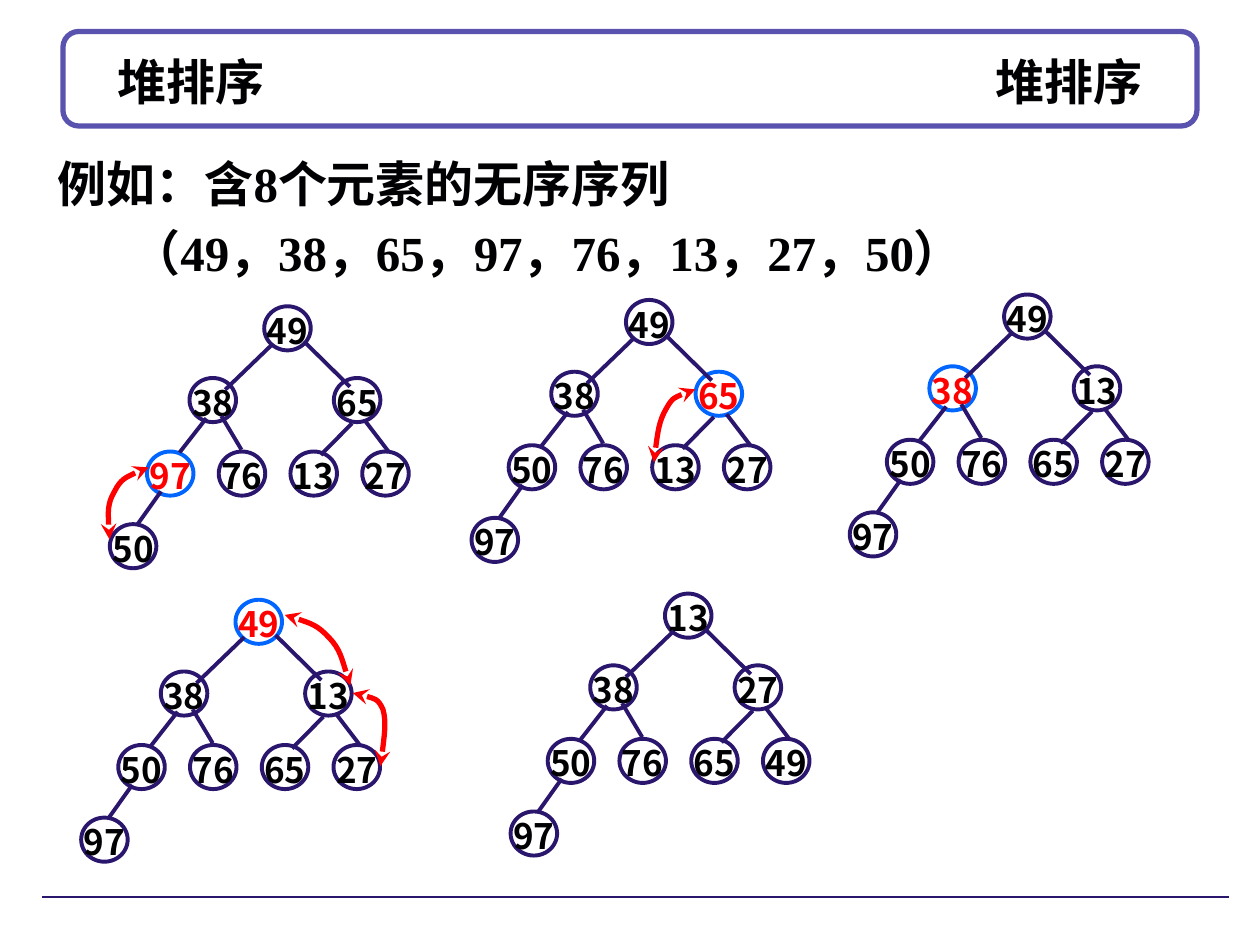
from pptx import Presentation
from pptx.dml.color import RGBColor
from pptx.enum.shapes import MSO_CONNECTOR, MSO_SHAPE
from pptx.enum.text import MSO_ANCHOR, MSO_AUTO_SIZE, PP_ALIGN
from pptx.oxml.ns import qn
from pptx.util import Pt
from lxml import etree

LINE = MSO_CONNECTOR.STRAIGHT
OVAL, ROUND = MSO_SHAPE.OVAL, MSO_SHAPE.ROUNDED_RECTANGLE
MIDDLE, NO_FIT = MSO_ANCHOR.MIDDLE, MSO_AUTO_SIZE.NONE
LEFT, CENTER = PP_ALIGN.LEFT, PP_ALIGN.CENTER

SANS, SERIF = "Noto Sans CJK SC", "Times New Roman"
INK, NAVY, RED, BLUE = "010103", "2B166E", "FF0000", "0066FF"

NODE_W, NODE_H = 26.6, 25.2
# Node corners in heap order, measured from the corner of the root
NODES = [(0, 0), (-42.7, 41), (39.8, 41)]
NODES += [(-67 + 41 * i, 83) for i in range(4)] + [(-88.2, 124.5)]
EDGES = [
    (5, 21.4, -22.3, 47.7), (-33.1, 64, -48.4, 83.6),
    (-59, 105.8, -72.9, 125.3), (22.9, 20.3, 49, 46),
    (57.5, 65.3, 71.3, 83.4), (-24.5, 62.7, -13, 82),
    (50.2, 66.9, 32.3, 85),
]
# Root corner, values in heap order, index of the marked node
TREES = [
    (134.6, 342.7, (49, 38, 13, 50, 76, 65, 27, 97), 0),
    (380, 339.2, (13, 38, 27, 50, 76, 65, 49, 97), None),
    (151, 175, (49, 38, 65, 97, 76, 13, 27, 50), 3),
    (357.7, 171.4, (49, 38, 65, 50, 76, 13, 27, 97), 2),
    (573.8, 168.3, (49, 38, 13, 50, 76, 65, 27, 97), 1),
]
# Each swap: start point, then two cubic curves of three points each
SWAPS = [
    [(162.7, 351.4), (172.1, 354.2), (181.4, 357.1), (187.9, 364.3),
     (194.4, 370.8), (198.7, 387.4), (200.2, 391.7)],
    [(201.6, 396), (208.8, 397.4), (216, 398.9), (218.9, 405.4),
     (221, 412.6), (218.2, 432.7), (217.4, 437.8)],
    [(85, 267.1), (77, 270), (69.1, 273.6), (65.5, 280.8),
     (61.2, 288), (61.9, 298.1), (62.6, 308.2)],
    [(397.4, 222.5), (391, 224.6), (384.5, 226.8), (380.9, 233.3),
     (376.6, 240.5), (375.1, 252), (373.7, 264.2)],
]


def paint(form, color):
    form.rgb = RGBColor.from_string(color)


def stroke(shape, color, width):
    paint(shape.line.color, color)
    shape.line.width = Pt(width)


def write(para, text, size=28, font=SERIF, color=INK, align=LEFT,
          lead=1.1, before=0):
    para.alignment = align
    para.line_spacing = lead
    para.space_before = Pt(before)
    run = para.add_run()
    run.text = text
    run.font.size = Pt(size)
    run.font.name = font
    run.font.bold = True
    paint(run.font.color, color)
    east = etree.SubElement(run.font._element, qn("a:ea"))
    east.set("typeface", SANS)


def add_line(shapes, x1, y1, x2, y2, width):
    line = shapes.add_connector(LINE, Pt(x1), Pt(y1), Pt(x2), Pt(y2))
    stroke(line, NAVY, width)
    etree.SubElement(line._element.spPr, qn("a:effectLst"))


def add_node(shapes, x, y, value, marked):
    node = shapes.add_shape(OVAL, Pt(x), Pt(y), Pt(NODE_W), Pt(NODE_H))
    node.shadow.inherit = False
    node.fill.background()
    stroke(node, BLUE if marked else NAVY, 2.25)
    frame = node.text_frame
    frame.word_wrap = False
    frame.vertical_anchor = MIDDLE
    write(frame.paragraphs[0], str(value), size=20, font=SANS,
          color=RED if marked else INK, align=CENTER)


def add_tree(slide, x, y, values, mark):
    shapes = slide.shapes.add_group_shape().shapes
    for i, ((dx, dy), value) in enumerate(zip(NODES, values)):
        add_node(shapes, x + dx, y + dy, value, i == mark)
    for x1, y1, x2, y2 in EDGES:
        add_line(shapes, x + x1, y + y1, x + x2, y + y2, 2.25)


def add_swap(slide, points):
    """Draw a curved arrow with a head at both ends."""
    spots = [(Pt(x), Pt(y)) for x, y in points]
    pen = slide.shapes.build_freeform(*spots[0])
    pen.add_line_segments(spots[1:], close=False)
    arrow = pen.convert_to_shape()
    arrow.shadow.inherit = False
    arrow.fill.background()
    stroke(arrow, RED, 3)
    # Turn each three straight segments into one cubic curve
    steps = list(arrow._element.iter(qn("a:lnTo")))
    for i in range(0, len(steps), 3):
        curve = etree.Element(qn("a:cubicBezTo"))
        steps[i].addprevious(curve)
        for step in steps[i:i + 3]:
            curve.append(step[0])
            step.getparent().remove(step)
    ends = arrow.line._get_or_add_ln()
    for tag in ("a:headEnd", "a:tailEnd"):
        etree.SubElement(ends, qn(tag)).set("type", "stealth")


def add_title(slide):
    box = slide.shapes.add_shape(ROUND, Pt(36), Pt(18), Pt(648), Pt(54))
    box.shadow.inherit = False
    box.fill.solid()
    paint(box.fill.fore_color, "FFFFFF")
    stroke(box, "5952AE", 3)

    title = slide.shapes.title
    box._element.addnext(title._element)
    title.left, title.top = Pt(36), Pt(24)
    title.width, title.height = Pt(648), Pt(45)
    frame = title.text_frame
    frame.auto_size = NO_FIT
    frame.word_wrap = True
    frame.vertical_anchor = MIDDLE
    frame.margin_left = Pt(31)
    para = frame.paragraphs[0]
    tabs = etree.SubElement(para._p.get_or_add_pPr(), qn("a:tabLst"))
    etree.SubElement(tabs, qn("a:tab"), pos=str(Pt(586)), algn="r")
    write(para, "堆排序\t堆排序", lead=1)


def add_intro(slide):
    box = slide.shapes.add_textbox(Pt(26), Pt(80.6), Pt(538.6), Pt(85))
    frame = box.text_frame
    frame.word_wrap = True
    write(frame.paragraphs[0], "例如：含8个元素的无序序列")
    para = frame.add_paragraph()
    para._p.get_or_add_pPr().set("indent", str(Pt(42)))
    write(para, "（49，38，65，97，76，13，27，50）", before=2.8)


def main():
    deck = Presentation()
    deck.slide_width, deck.slide_height = Pt(720), Pt(540)
    slide = deck.slides.add_slide(deck.slide_layouts[5])
    add_title(slide)
    add_line(slide.shapes, 24, 512.6, 702, 512.6, 0.75)
    for tree in TREES:
        add_tree(slide, *tree)
    for points in SWAPS:
        add_swap(slide, points)
    add_intro(slide)
    deck.save("out.pptx")


if __name__ == "__main__":
    main()
